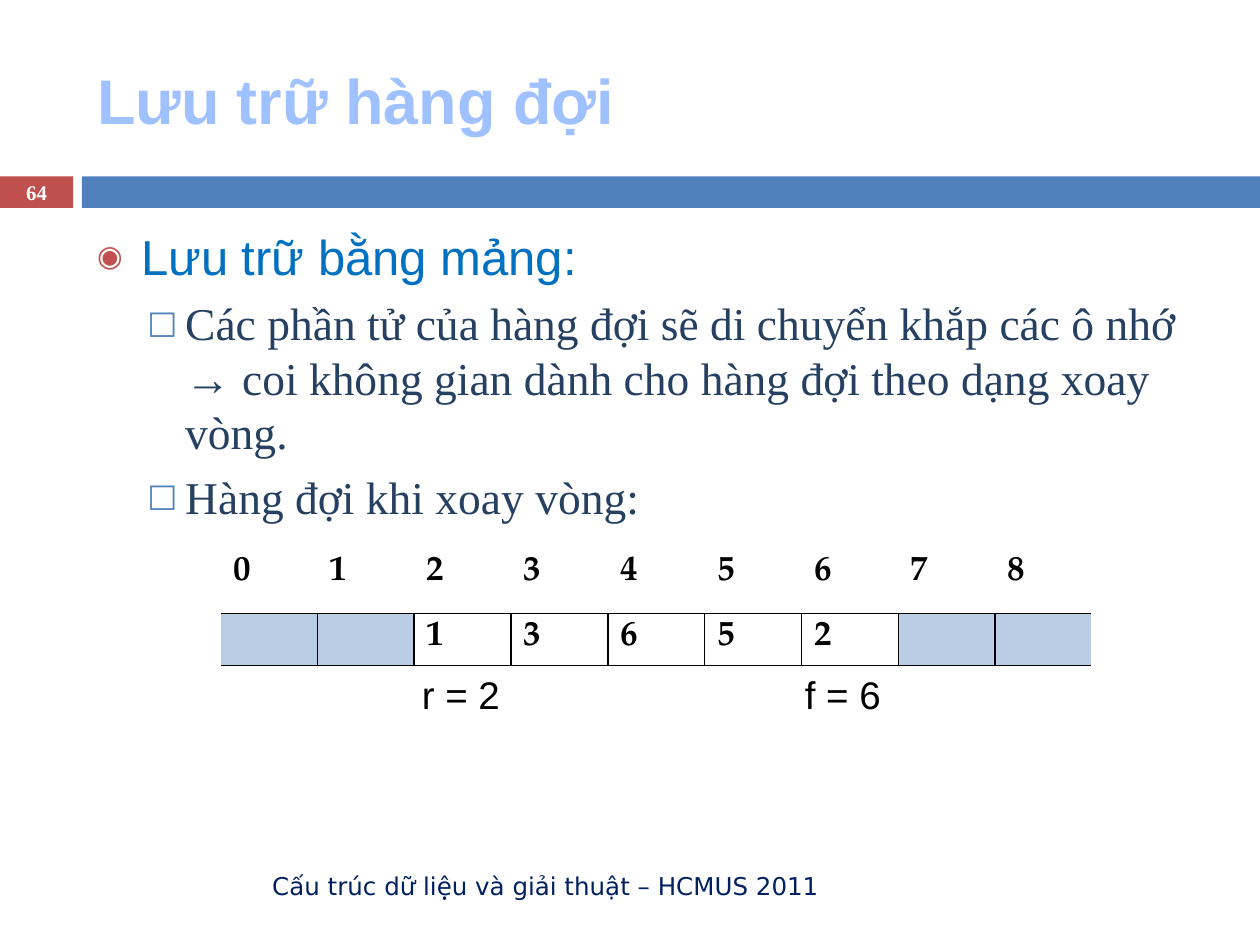
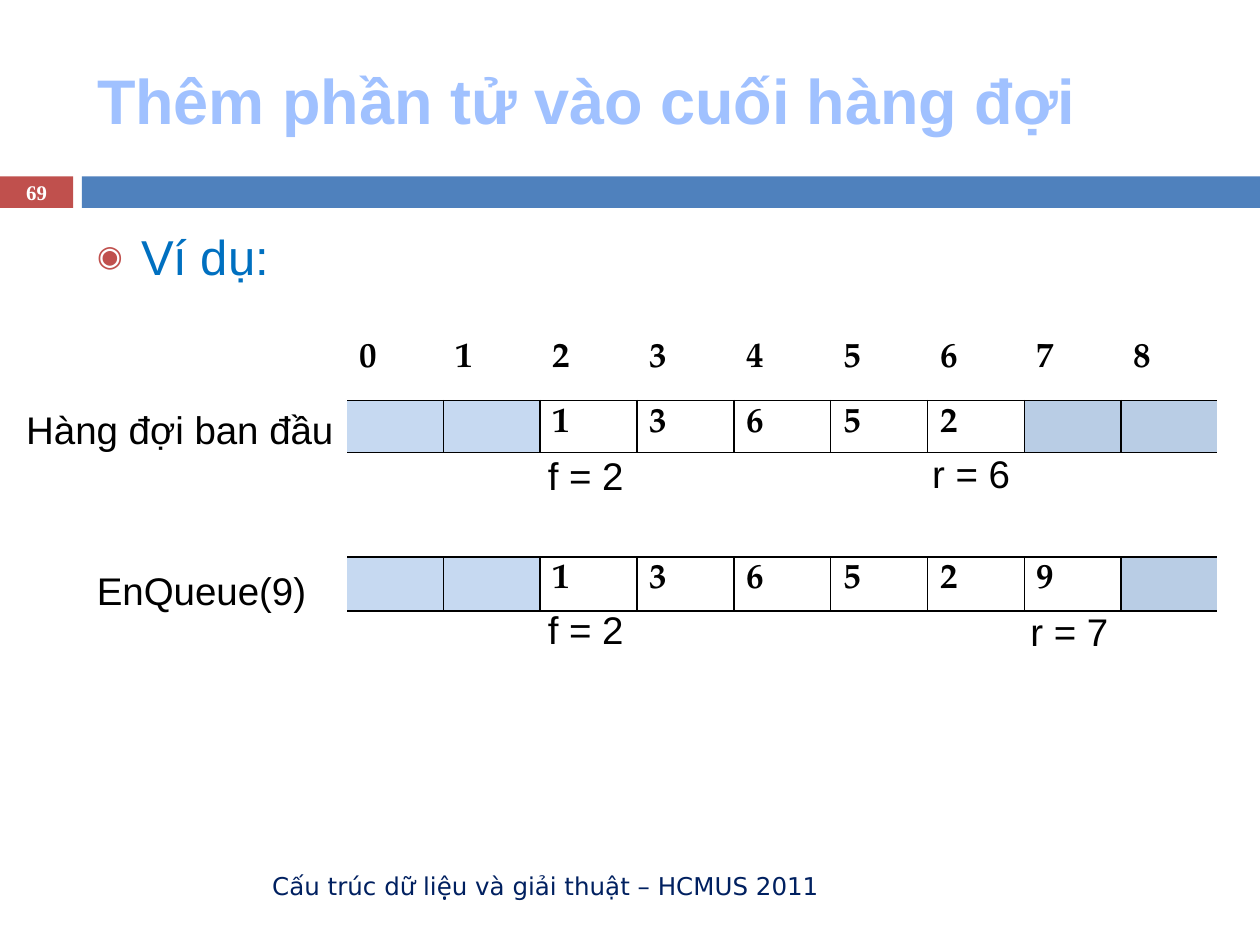
from dataclasses import dataclass
from lxml import etree
from pptx import Presentation
from pptx import util as u
from pptx.dml.color import RGBColor
from pptx.enum import shapes, text
from pptx.oxml.ns import qn


@dataclass(frozen=True)
class Theme:
    red: str = "C0504D"
    blue: str = "4F81BD"
    free: str = "B9CDE5"
    free_light: str = "C6D9F1"
    white: str = "FFFFFF"
    black: str = "000000"
    title: tuple = (36, "Arial", "A0C1FF", True)
    heading: tuple = (28, "Arial", "0070C0", False)
    detail: tuple = (26, "Times New Roman", "254061", False)
    cell: tuple = (20, "TeX Gyre Pagella", "000000", True)
    label: tuple = (22, "Arial", "000000", False)
    footer: tuple = (14, "DejaVu Sans", "002060", False)
    number: tuple = (11.9, "Times New Roman", "FFFFFF", True)


theme = Theme()
LEVELS = [
    (theme.heading, 0.35, -0.35, 7, "◉", theme.red, 60),
    (theme.detail, 0.7, -0.3, 5.5, "□", theme.blue, 70),
]
COLUMN_COUNT = 9
COLUMN_WIDTH = 6.92 / COLUMN_COUNT
INDEXES = "012345678"

SLIDES = [
    {
        "number": "64",
        "title": "Lưu trữ hàng đợi",
        "body": [
            (0, "Lưu trữ bằng mảng:"),
            (1, "Các phần tử của hàng đợi sẽ di chuyển khắp các ô nhớ → coi không gian "
                "dành cho hàng đợi theo dạng xoay vòng."),
            (1, "Hàng đợi khi xoay vòng:"),
        ],
        "left": 1.75,
        "index_top": 4.36,
        "first_fill": theme.free,
        "queues": [(4.87, 0.41, "  13652  ")],
        "labels": [(3.25, 5.28, 0.83, "r = 2"), (6.29, 5.28, 0.83, "f = 6")],
    },
    {
        "number": "69",
        "title": "Thêm phần tử vào cuối hàng đợi",
        "body": [(0, "Ví dụ:")],
        "left": 2.75,
        "index_top": 2.67,
        "first_fill": theme.free_light,
        "queues": [(3.18, 0.41, "  13652  "), (4.42, 0.43, "  136529 ")],
        "labels": [
            (4.25, 3.54, 0.83, "f = 2"),
            (7.3, 3.52, 0.83, "r = 6"),
            (4.25, 4.76, 0.83, "f = 2"),
            (8.08, 4.78, 0.83, "r = 7"),
            (0.11, 3.17, 2.75, "Hàng đợi ban đầu"),
            (0.67, 4.45, 2.75, "EnQueue(9)"),
        ],
    },
]


def add_run(paragraph, string, style):
    size, font, colour, bold = style
    run = paragraph.add_run()
    run.text = string
    run.font.size = u.Pt(size)
    run.font.name = font
    run.font.bold = bold
    run.font.color.rgb = RGBColor.from_string(colour)


def add_array(slide, left, top, height, values, first_fill, bordered):
    frame = slide.shapes.add_table(
        1, COLUMN_COUNT, u.Inches(left), u.Inches(top),
        u.Inches(COLUMN_WIDTH * COLUMN_COUNT), u.Inches(height))
    table = frame.table
    table.first_row = table.horz_banding = False
    for column, value in enumerate(values):
        cell = table.cell(0, column)
        cell.margin_bottom = 0
        fill = theme.white
        if value == " ":
            fill = first_fill if column < 2 else theme.free
        else:
            add_run(cell.text_frame.paragraphs[0], value, theme.cell)
        properties = cell._tc.get_or_add_tcPr()
        sides = ["lnT", "lnB"]
        if column < COLUMN_COUNT - 1:
            sides.insert(0, "lnR")
        if column > 0:
            sides.insert(0, "lnL")
        for side in sides if bordered else []:
            line = etree.SubElement(properties, qn("a:" + side), w=str(u.Pt(1)))
            solid = etree.SubElement(line, qn("a:solidFill"))
            etree.SubElement(solid, qn("a:srgbClr"), val=theme.black)
        cell.fill.solid()
        cell.fill.fore_color.rgb = RGBColor.from_string(fill)


presentation = Presentation()
presentation.slide_width = u.Inches(10)
presentation.slide_height = u.Inches(7.5)

for content in SLIDES:
    slide = presentation.slides.add_slide(presentation.slide_layouts[1])

    for left, width, colour in [(0, 0.58, theme.red), (0.65, 9.35, theme.blue)]:
        band = slide.shapes.add_shape(
            shapes.MSO_SHAPE.RECTANGLE,
            u.Inches(left), u.Inches(1.4), u.Inches(width), u.Inches(0.25))
        band.shadow.inherit = False
        band.fill.solid()
        band.fill.fore_color.rgb = RGBColor.from_string(colour)
        band.line.fill.background()

    title, body = slide.shapes.title, slide.placeholders[1]
    for placeholder, top, height in [(title, 0.25, 1.08), (body, 1.75, 4.92)]:
        placeholder.left, placeholder.top = u.Inches(0.67), u.Inches(top)
        placeholder.width, placeholder.height = u.Inches(8.92), u.Inches(height)
        placeholder.text_frame.auto_size = text.MSO_AUTO_SIZE.NONE

    title.text_frame.vertical_anchor = text.MSO_ANCHOR.MIDDLE
    title_paragraph = title.text_frame.paragraphs[0]
    title_paragraph.alignment = text.PP_ALIGN.LEFT
    add_run(title_paragraph, content["title"], theme.title)

    for position, (level, string) in enumerate(content["body"]):
        style, margin, indent, space, bullet, colour, percent = LEVELS[level]
        frame = body.text_frame
        paragraph = frame.add_paragraph() if position else frame.paragraphs[0]
        paragraph.level = level
        paragraph.space_before = u.Pt(space if position else 0)
        properties = paragraph._p.get_or_add_pPr()
        properties.set("marL", str(u.Inches(margin)))
        properties.set("indent", str(u.Inches(indent)))
        bullet_colour = etree.SubElement(properties, qn("a:buClr"))
        etree.SubElement(bullet_colour, qn("a:srgbClr"), val=colour)
        etree.SubElement(properties, qn("a:buSzPct"), val=str(percent * 1000))
        etree.SubElement(properties, qn("a:buFont"), typeface="DejaVu Sans")
        etree.SubElement(properties, qn("a:buChar"), char=bullet)
        add_run(paragraph, string, style)

    add_array(slide, content["left"], content["index_top"], 0.41, INDEXES, theme.white, False)
    for top, height, values in content["queues"]:
        add_array(slide, content["left"], top, height, values, content["first_fill"], True)

    boxes = [
        (0.67, 6.83, 5.93, 0.4, "Cấu trúc dữ liệu và giải thuật – HCMUS 2011",
         theme.footer, text.PP_ALIGN.RIGHT, text.MSO_ANCHOR.MIDDLE),
        (0, 1.39, 0.58, 0.27, content["number"],
         theme.number, text.PP_ALIGN.CENTER, text.MSO_ANCHOR.MIDDLE),
    ]
    for left, top, width, string in content["labels"]:
        boxes.append((left, top, width, 0.47, string,
                      theme.label, text.PP_ALIGN.LEFT, text.MSO_ANCHOR.TOP))
    for left, top, width, height, string, style, alignment, anchor in boxes:
        box = slide.shapes.add_textbox(
            u.Inches(left), u.Inches(top), u.Inches(width), u.Inches(height))
        box.text_frame.word_wrap = True
        box.text_frame.vertical_anchor = anchor
        paragraph = box.text_frame.paragraphs[0]
        paragraph.alignment = alignment
        add_run(paragraph, string, style)

presentation.save("out.pptx")
